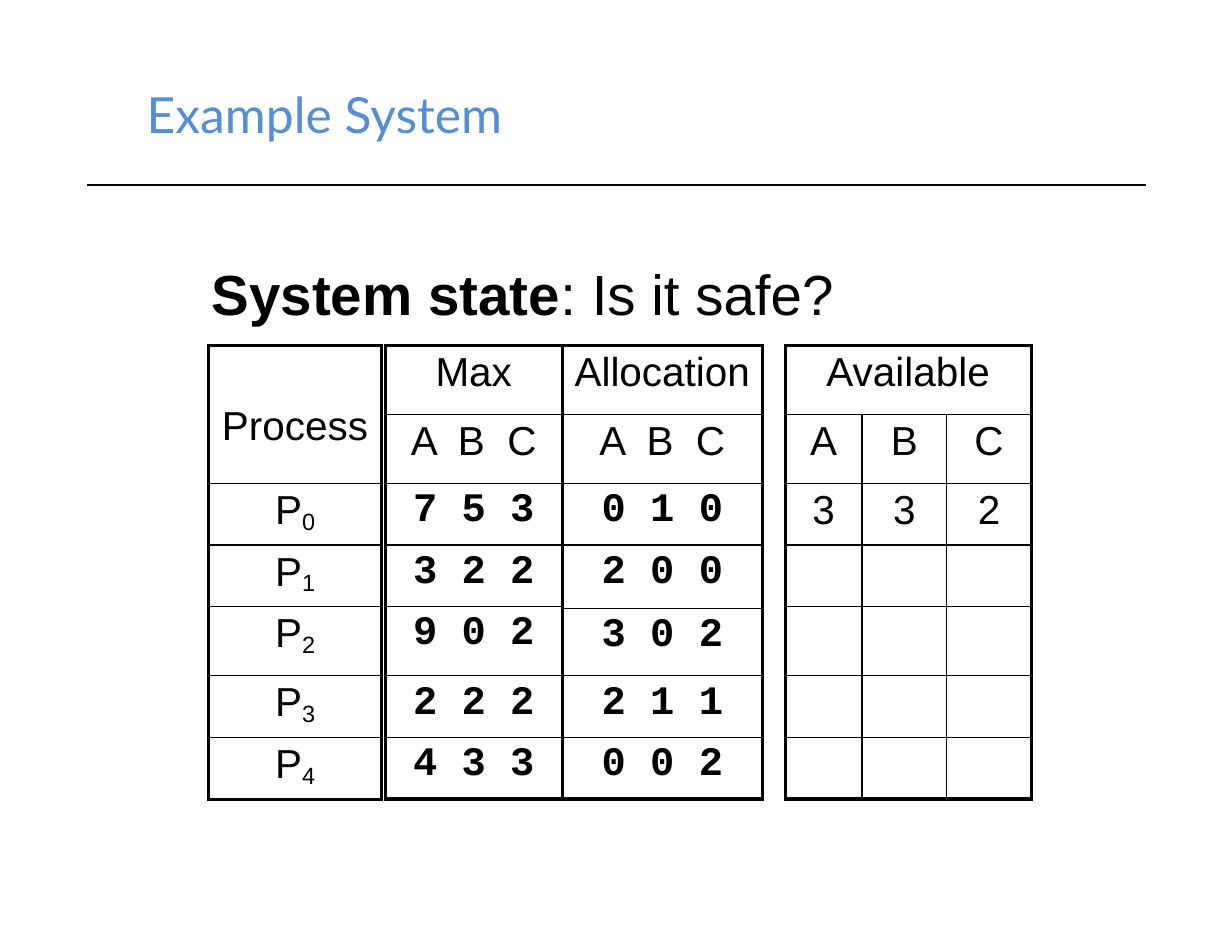
"""Build the example system slide: resource tables for a safety check."""
from dataclasses import dataclass

from lxml.etree import SubElement
from pptx import Presentation
from pptx.dml.color import RGBColor
from pptx.enum.shapes import MSO_CONNECTOR
from pptx.enum.text import MSO_ANCHOR, PP_ALIGN
from pptx.oxml.ns import qn
from pptx.util import Pt


@dataclass(frozen=True)
class Theme:
    """Hold the colours, fonts, type sizes and line widths."""
    ink: RGBColor = RGBColor(0x00, 0x00, 0x00)
    accent: RGBColor = RGBColor(0x55, 0x8E, 0xD5)
    title_font: str = "Lato"
    body_font: str = "Arial"
    value_font: str = "Courier New"
    title_size: float = 32
    question_size: float = 36.3
    cell_size: float = 26
    frame_width: float = 2.25
    grid_width: float = 1


THEME = Theme()
TABLE_TOP = 221.8
TALL, SHORT = 44.5, 39.6
STATE_ROWS = [TALL, TALL, SHORT, SHORT, TALL, SHORT, SHORT]
ALLOCATION_ROWS = [TALL, TALL, SHORT, 41, 43.1, SHORT, SHORT]
PROCESS_ROWS = [2 * TALL] + STATE_ROWS[2:]
SUBSCRIPT = -14000


def add_run(paragraph, text, size, font=THEME.body_font, color=THEME.ink, bold=False, baseline=0):
    """Append one styled run to a paragraph."""
    run = paragraph.add_run()
    run.text = text
    run.font.size = Pt(size)
    run.font.name = font
    run.font.bold = bold
    run.font.color.rgb = color
    if baseline:
        run._r.get_or_add_rPr().set("baseline", str(baseline))


def add_text(slide, left, top, width, height, inset=None, anchor=MSO_ANCHOR.TOP):
    """Add a wrapping text box and return its first paragraph."""
    frame = slide.shapes.add_textbox(Pt(left), Pt(top), Pt(width), Pt(height)).text_frame
    frame.word_wrap = True
    frame.vertical_anchor = anchor
    if inset is not None:
        frame.margin_left = frame.margin_right = Pt(inset)
        frame.margin_top = frame.margin_bottom = Pt(inset)
    return frame.paragraphs[0]


def add_rule(slide, left, right, y):
    """Draw the horizontal rule under the title."""
    rule = slide.shapes.add_connector(MSO_CONNECTOR.STRAIGHT, Pt(left), Pt(y), Pt(right), Pt(y))
    rule.line.color.rgb = THEME.ink
    rule.line.width = Pt(THEME.grid_width)
    SubElement(rule._element.spPr, qn("a:effectLst"))


def set_borders(cell, outer_edges):
    """Give a cell grid lines, heavier on the table's outer edges."""
    properties = cell._tc.get_or_add_tcPr()
    for edge, is_outer in zip("LRTB", outer_edges):
        width = THEME.frame_width if is_outer else THEME.grid_width
        line = SubElement(properties, qn(f"a:ln{edge}"), w=str(Pt(width)))
        fill = SubElement(line, qn("a:solidFill"))
        SubElement(fill, qn("a:srgbClr"), val=str(THEME.ink))


def add_grid(slide, left, columns, heights, content, span_header=False):
    """Add a framed table whose cells are lists of run texts and styles."""
    grid = slide.shapes.add_table(len(heights), len(columns), Pt(left), Pt(TABLE_TOP),
                                  Pt(sum(columns)), Pt(sum(heights))).table
    grid.first_row = grid.horz_banding = False
    for column, width in zip(grid.columns, columns):
        column.width = Pt(width)
    for row, height in zip(grid.rows, heights):
        row.height = Pt(height)
    if span_header:
        grid.cell(0, 0).merge(grid.cell(0, len(columns) - 1))
    last_row, last_column = len(heights) - 1, len(columns) - 1
    for r in range(len(heights)):
        for c in range(len(columns)):
            cell = grid.cell(r, c)
            if not cell.is_spanned:
                right_column = c + cell.span_width - 1 if cell.is_merge_origin else c
                set_borders(cell, (c == 0, right_column == last_column, r == 0, r == last_row))
            cell.fill.background()
            cell.margin_left = cell.margin_right = Pt(5.76)
            cell.margin_top = cell.margin_bottom = Pt(2.88)
            paragraph = cell.text_frame.paragraphs[0]
            paragraph.alignment = PP_ALIGN.CENTER
            for text, style in content.get((r, c), []):
                add_run(paragraph, text, THEME.cell_size, **style)
    return grid


def add_process_grid(slide):
    """Add the column of process names."""
    content = {(0, 0): [("Process", {})]}
    for number in range(5):
        content[number + 1, 0] = [("P", {}), (str(number), {"baseline": SUBSCRIPT})]
    grid = add_grid(slide, 133.9, [111.6], PROCESS_ROWS, content)
    grid.cell(0, 0).margin_top = Pt(38)


def add_state_grid(slide, left, width, heights, heading, values):
    """Add a one-column table of resource counts per process."""
    value_style = {"font": THEME.value_font, "bold": True}
    content = {(0, 0): [(heading, {})], (1, 0): [("A  B  C", {})]}
    for r, counts in enumerate(values, start=2):
        content[r, 0] = [(counts, value_style)]
    add_grid(slide, left, [width], heights, content)


def add_available_grid(slide):
    """Add the table of available resources."""
    content = {(0, 0): [("Available", {})]}
    for c, (resource, count) in enumerate(zip("ABC", "332")):
        content[1, c] = [(resource, {})]
        content[2, c] = [(count, {})]
    add_grid(slide, 504.7, [49.4, 54.5, 54.5], STATE_ROWS, content, span_header=True)


def main():
    """Build and save the slide."""
    deck = Presentation()
    deck.slide_width, deck.slide_height = Pt(792), Pt(612)
    slide = deck.slides.add_slide(deck.slide_layouts[6])

    add_rule(slide, 56.2, 736.6, 118.8)
    title = add_text(slide, 94.3, 54, 534.2, 51.1, inset=0)
    add_run(title, "Example System", THEME.title_size, THEME.title_font, THEME.accent)

    add_process_grid(slide)
    add_available_grid(slide)
    add_state_grid(slide, 361.4, 128.9, ALLOCATION_ROWS, "Allocation",
                   ["0 1 0", "2 0 0", "3 0 2", "2 1 1", "0 0 2"])
    add_state_grid(slide, 247.7, 113.8, STATE_ROWS, "Max",
                   ["7 5 3", "3 2 2", "9 0 2", "2 2 2", "4 3 3"])

    question = add_text(slide, 128.9, 162.7, 534.2, 51.1, anchor=MSO_ANCHOR.MIDDLE)
    add_run(question, "System state", THEME.question_size, bold=True)
    add_run(question, ": Is it safe?", THEME.question_size)

    deck.save("out.pptx")


if __name__ == "__main__":
    main()
